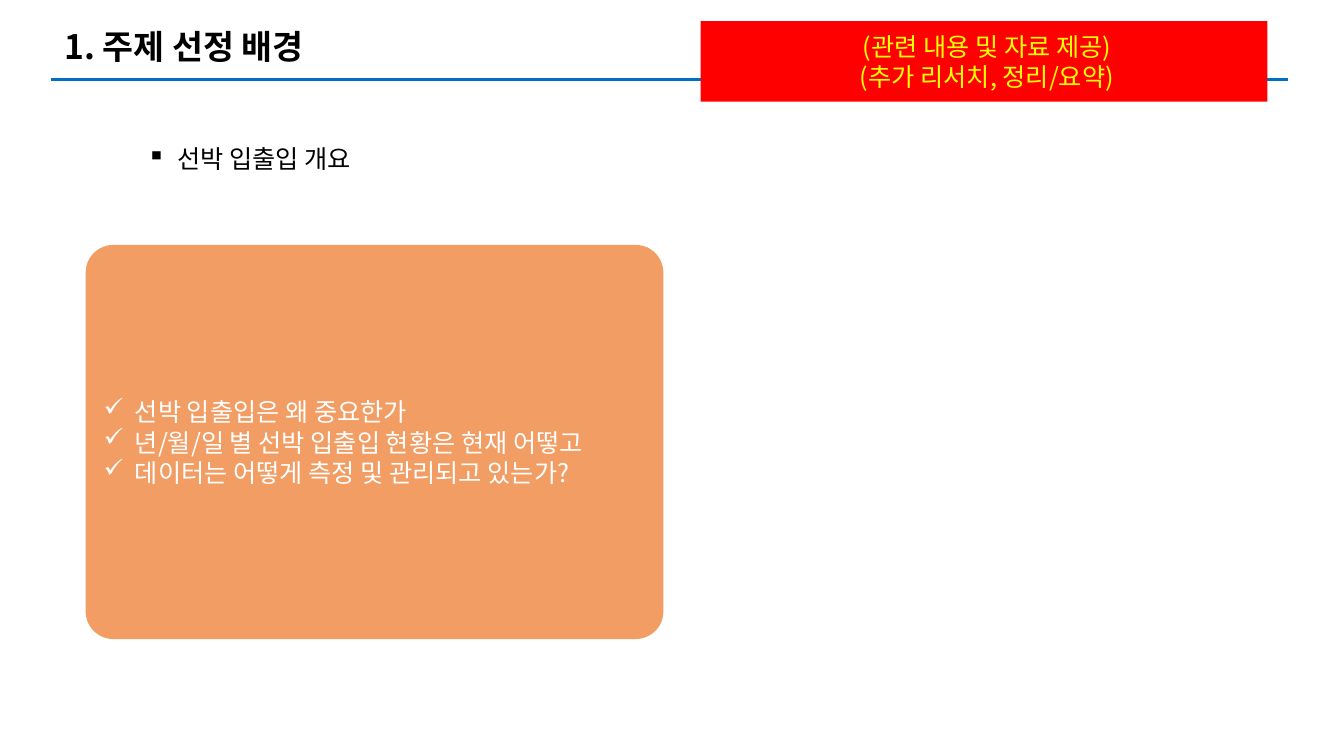
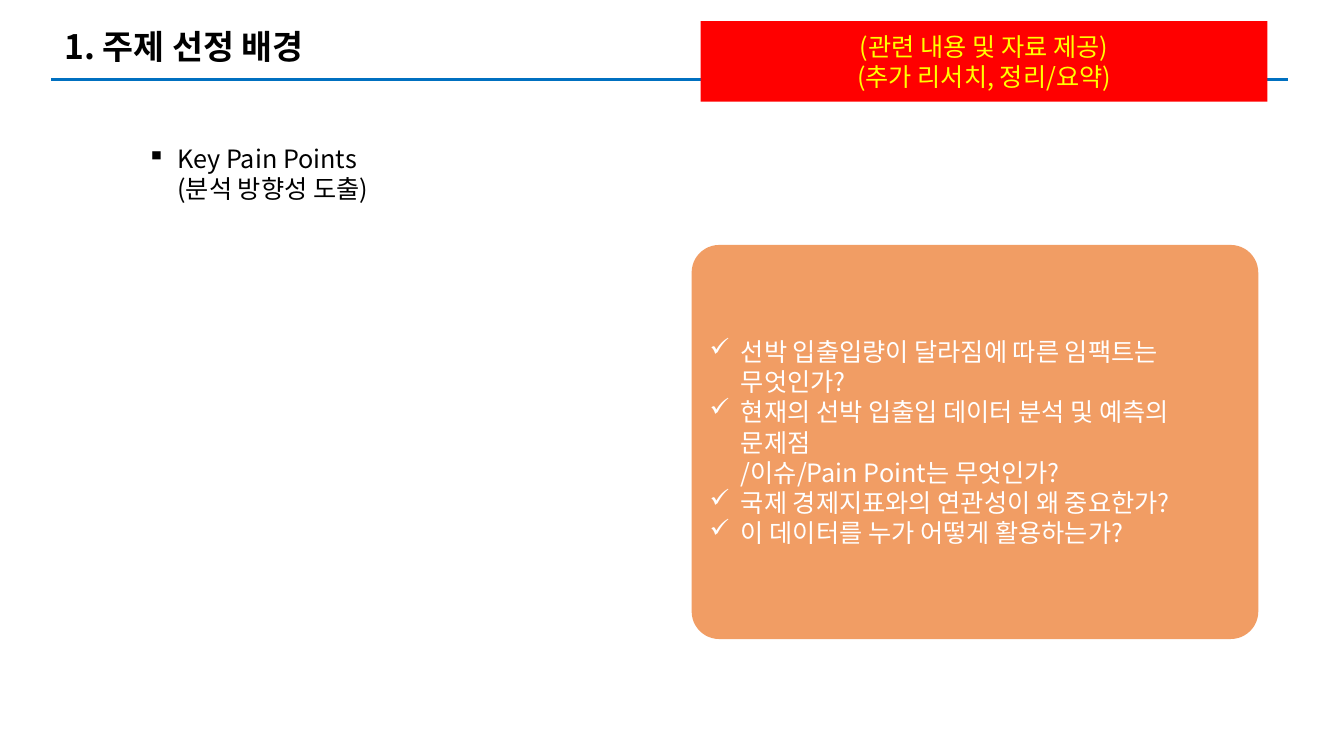
import pptx
import pptx.util
import pptx.dml.color
import pptx.enum.shapes
import pptx.enum.text
import pptx.oxml.ns
from lxml import etree

Inches = pptx.util.Inches
qn = pptx.oxml.ns.qn
SHAPES = pptx.enum.shapes.MSO_SHAPE
ALIGN = pptx.enum.text.PP_ALIGN
ANCHOR = pptx.enum.text.MSO_ANCHOR

FONT = "Noto Sans CJK KR"
BLACK, WHITE, YELLOW = "000000", "FFFFFF", "FFFF00"
BLUE, RED, ORANGE = "0070C0", "FF0000", "ED7D31"


def color(value):
    return pptx.dml.color.RGBColor.from_string(value)


def write(frame, lines, size, ink, align=ALIGN.LEFT, anchor=ANCHOR.TOP,
          bullet=None, margin=0, hang=0, bold=False):
    """Fill a text frame, one paragraph per line, with an optional hanging bullet."""
    frame.word_wrap = True
    frame.auto_size = pptx.enum.text.MSO_AUTO_SIZE.NONE
    frame.vertical_anchor = anchor
    for number, line in enumerate(lines):
        para = frame.paragraphs[0] if number == 0 else frame.add_paragraph()
        para.text = line
        para.alignment = align
        para.font.size = pptx.util.Pt(size)
        para.font.bold = bold
        para.font.color.rgb = color(ink)
        para.font.name = FONT
        properties = para._p.get_or_add_pPr()
        etree.SubElement(properties.find(qn("a:defRPr")), qn("a:ea"), typeface=FONT)
        if bullet:
            properties.set("marL", str(Inches(margin)))
            properties.set("indent", str(-Inches(hang)))
            mark = etree.Element(qn("a:buChar"), char=bullet)
            properties.insert(0, mark)


deck = pptx.Presentation()
deck.slide_width, deck.slide_height = Inches(13.33), Inches(7.5)
layout = deck.slide_layouts.get_by_name("Title Only")

# What differs from slide to slide
pages = [
    {
        "topic": "선박 입출입 개요",
        "topic_height": 0.4,
        "banner_lead": " ",
        "card_left": 0.85,
        "card_width": 5.73,
        "questions": [
            "선박 입출입은 왜 중요한가",
            "년/월/일 별 선박 입출입 현황은 현재 어떻고",
            "데이터는 어떻게 측정 및 관리되고 있는가?",
        ],
    },
    {
        "topic": "Key Pain Points\n(분석 방향성 도출)",
        "topic_height": 0.71,
        "banner_lead": "",
        "card_left": 6.86,
        "card_width": 5.62,
        "questions": [
            "선박 입출입량이 달라짐에 따른 임팩트는 무엇인가?",
            "현재의 선박 입출입 데이터 분석 및 예측의 문제점\n/이슈/Pain Point는 무엇인가?",
            "국제 경제지표와의 연관성이 왜 중요한가?",
            "이 데이터를 누가 어떻게 활용하는가?",
        ],
    },
]

for number, page in enumerate(pages):
    slide = deck.slides.add_slide(layout)
    shapes = slide.shapes

    # Title rule, drawn once and moved to the shared layout
    if number == 0:
        rule = shapes.add_connector(pptx.enum.shapes.MSO_CONNECTOR.STRAIGHT,
                                    Inches(0.51), Inches(0.79), Inches(12.77), Inches(0.79))
        rule.line.color.rgb = color(BLUE)
        rule.line.width = pptx.util.Pt(2.25)
        etree.SubElement(rule.element.spPr, qn("a:effectLst"))
        layout.shapes.element.append(rule.element)

    # Title
    title = shapes.title
    title.left, title.top = Inches(0.54), Inches(0.21)
    title.width, title.height = Inches(10.11), Inches(0.5)
    write(title.text_frame, ["1. 주제 선정 배경"], 24, BLACK, bold=True)

    # Topic
    topic = shapes.add_textbox(Inches(1.17), Inches(1.37),
                               Inches(4.29), Inches(page["topic_height"]))
    write(topic.text_frame, [page["topic"]], 18, BLACK, bullet="▪", margin=0.49, hang=0.3)

    # Question card
    card = shapes.add_shape(SHAPES.ROUNDED_RECTANGLE, Inches(page["card_left"]), Inches(2.43),
                            Inches(page["card_width"]), Inches(3.91))
    card.adjustments[0] = 0.07
    card.fill.solid()
    card.fill.fore_color.rgb = color(ORANGE)
    fill_color = card.element.spPr.find(qn("a:solidFill")).find(qn("a:srgbClr"))
    etree.SubElement(fill_color, qn("a:alpha"), val="75000")
    write(card.text_frame, page["questions"], 18, WHITE, anchor=ANCHOR.MIDDLE,
          bullet="✓", margin=0.31, hang=0.31)

    # Banner
    banner = shapes.add_shape(SHAPES.RECTANGLE, Inches(6.95), Inches(0.21),
                              Inches(5.62), Inches(0.8))
    banner.fill.solid()
    banner.fill.fore_color.rgb = color(RED)
    notices = ["(관련 내용 및 자료 제공)", "(추가 리서치, 정리/요약)"]
    write(banner.text_frame, [page["banner_lead"] + notice for notice in notices], 18, YELLOW,
          align=ALIGN.CENTER, anchor=ANCHOR.MIDDLE)

    for shape in (card, banner):
        shape.line.fill.background()
        shape.shadow.inherit = False

deck.save("out.pptx")
